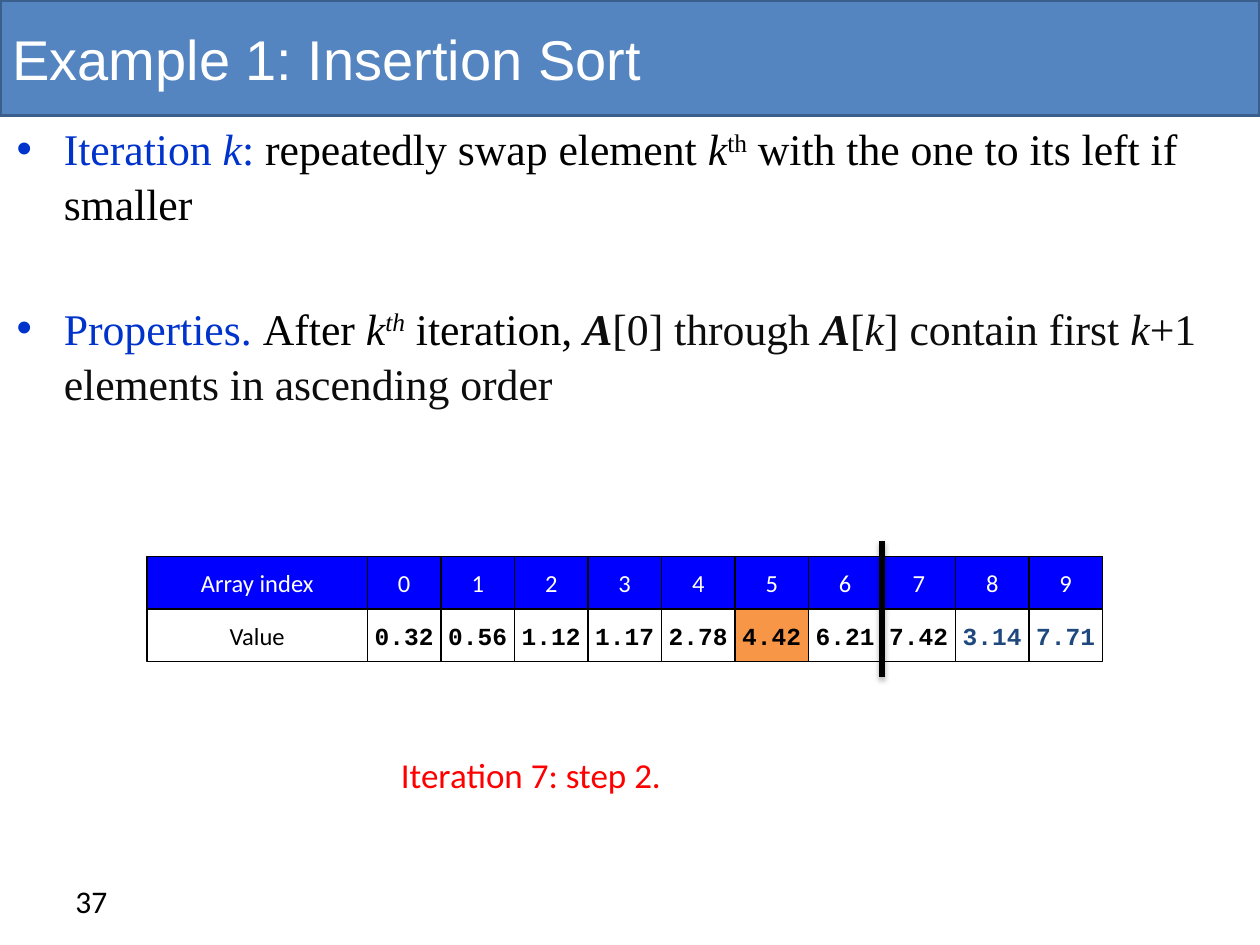
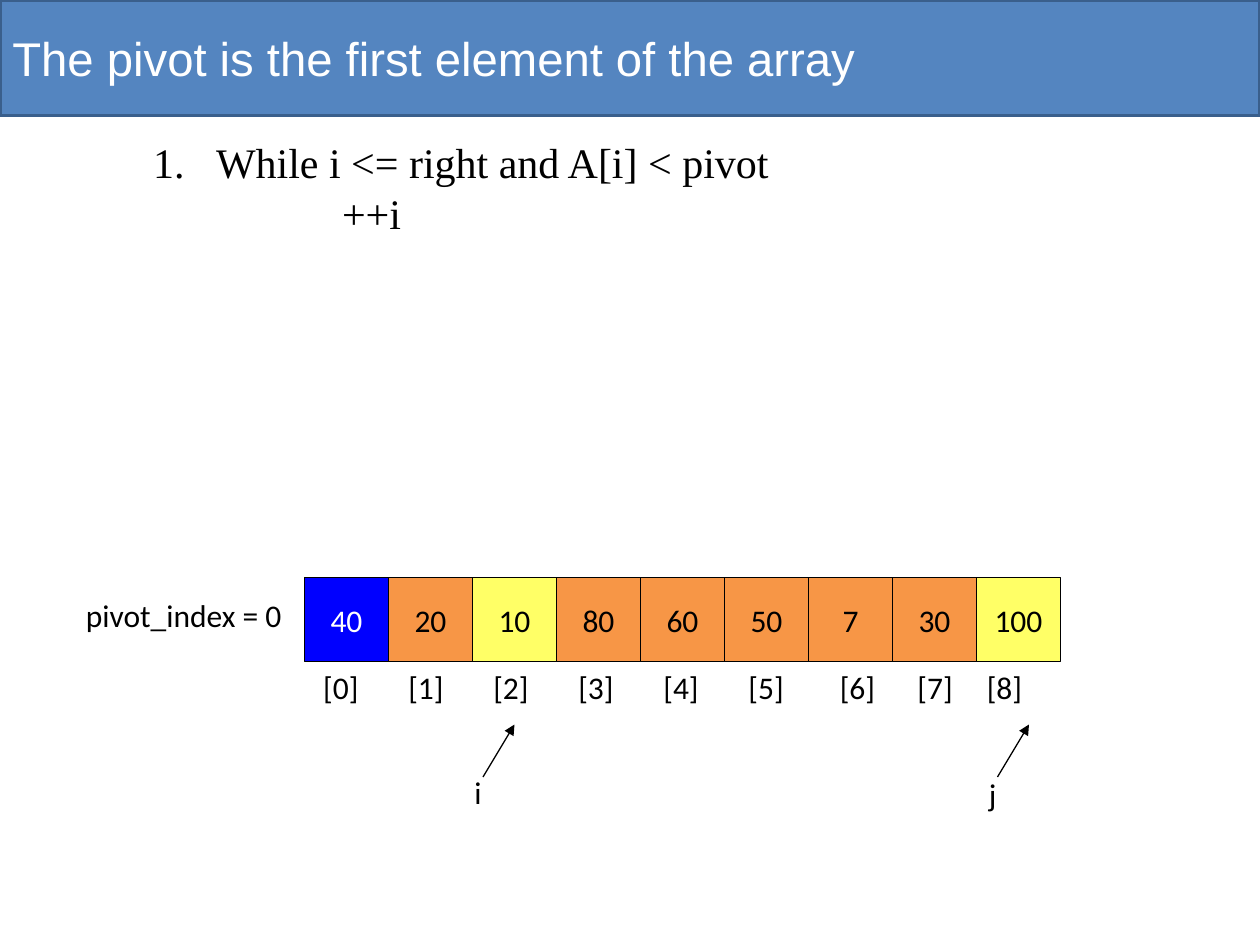
from dataclasses import dataclass

from lxml.etree import SubElement
from pptx import Presentation
from pptx.dml.color import RGBColor as Rgb
from pptx.enum.shapes import MSO_CONNECTOR as Connector, MSO_SHAPE as Preset
from pptx.enum.text import MSO_ANCHOR as Anchor, PP_ALIGN as Align
from pptx.oxml.ns import qn
from pptx.util import Pt


@dataclass(frozen=True)
class Theme:
    band: str = "5485C0"
    band_edge: str = "3A5F8C"
    white: str = "FFFFFF"
    black: str = "000000"
    soft_black: str = "0D0D0D"
    blue: str = "0000FF"
    lead: str = "0033CC"
    navy: str = "1F497D"
    orange: str = "F79646"
    yellow: str = "FFFF66"
    red: str = "FF0000"
    title_font: str = "Arial"
    body_font: str = "Times New Roman"
    label_font: str = "Calibri"
    code_font: str = "Courier New"
    cell_size: int = 14
    label_size: int = 18
    step_size: int = 20
    code_size: int = 24
    body_size: int = 25
    thin: float = 0.75


THEME = Theme()
SCALE = 7620
PAGE_WIDTH, PAGE_HEIGHT, BAND_HEIGHT = 1200, 900, 110

LEAD = {"color": THEME.lead}
SOFT = {"color": THEME.soft_black}
ITALIC = {"italic": True}
SUPER = {"baseline": 30000}
ARRAY_NAME = SOFT | ITALIC | {"bold": True}

SORT_TITLE = "Example 1: Insertion Sort"
SORT_RULES = [
    [("Iteration ", LEAD), ("k", LEAD | ITALIC), (": ", LEAD),
     ("repeatedly swap element ", {}), ("k", ITALIC), ("th", SUPER),
     (" with the one to its left if smaller", {})],
    [("Properties. ", LEAD), ("After ", {}), ("k", ITALIC), ("th", ITALIC | SUPER),
     (" iteration, ", {}), ("A", ARRAY_NAME), ("[0] through ", SOFT), ("A", ARRAY_NAME),
     ("[", SOFT), ("k", SOFT | ITALIC), ("] contain first ", SOFT),
     ("k", SOFT | ITALIC), ("+1 elements in ascending order", SOFT)],
]
SORT_VALUES = ["0.32", "0.56", "1.12", "1.17", "2.78", "4.42", "6.21", "7.42", "3.14", "7.71"]
MOVING_INDEX, LAST_VISITED, SORTED_COUNT = 5, 7, 7
SORT_STEP = "Iteration 7: step 2."
PAGE_NUMBER = "37"

PIVOT_TITLE = "The pivot is the first element of the array"
LOOP_HEAD, LOOP_BODY = "While i <= right and A[i] < pivot", "++i"
PIVOT_LABEL = "pivot_index = 0"
PIVOT_VALUES = [40, 20, 10, 80, 60, 50, 7, 30, 100]
PIVOT_FILLS = {0: THEME.blue, 2: THEME.yellow, 8: THEME.yellow}
INDEX_STOPS = [81 * step for step in range(1, 6)] + [492, 566, 632]
POINTERS = [("i", 440, 730, 300), ("j", 930, 732, 210)]


def px(*lengths):
    return [length * SCALE for length in lengths]


def rgb(color):
    return Rgb.from_string(color)


def write(shape, paragraphs, size=THEME.label_size, font=THEME.label_font, color=THEME.black,
          bold=False, align=Align.LEFT, anchor=Anchor.TOP, wrap=True, gap=0,
          line_spacing=None, bullet=None, margin=0, hang=0, stops=()):
    frame = shape.text_frame
    frame.word_wrap = wrap
    frame.vertical_anchor = anchor
    if isinstance(paragraphs, str):
        paragraphs = [[(paragraphs, {})]]
    for number, spans in enumerate(paragraphs):
        para = frame.add_paragraph() if number else frame.paragraphs[0]
        properties = para._p.get_or_add_pPr()
        if margin:
            properties.set("marL", str(margin * SCALE))
            properties.set("indent", str(-hang * SCALE))
        if bullet == "1.":
            SubElement(properties, qn("a:buAutoNum"), type="arabicPeriod")
        elif bullet:
            SubElement(properties, qn("a:buFont"), typeface=THEME.title_font)
            SubElement(properties, qn("a:buChar"), char=bullet)
        if stops:
            tabs = SubElement(properties, qn("a:tabLst"))
            for stop in stops:
                SubElement(tabs, qn("a:tab"), pos=str(stop * SCALE), algn="l")
        para.alignment = align
        if line_spacing:
            para.line_spacing = line_spacing
        if number and gap:
            para.space_before = Pt(gap)
        for text, style in spans:
            span = para.add_run()
            span.text = text
            span.font.size = Pt(size)
            span.font.name = font
            span.font.bold = style.get("bold", bold)
            span.font.italic = style.get("italic", False)
            span.font.color.rgb = rgb(style.get("color", color))
            if "baseline" in style:
                span._r.get_or_add_rPr().set("baseline", str(style["baseline"]))
    return frame


def add_text(page, place, text, **style):
    return write(page.shapes.add_textbox(*px(*place)), text, **style)


def add_box(page, place, text, fill=THEME.white, edge=THEME.black, weight=THEME.thin, **style):
    box = page.shapes.add_shape(Preset.RECTANGLE, *px(*place))
    box.shadow.inherit = False
    box.fill.solid()
    box.fill.fore_color.rgb = rgb(fill)
    box.line.color.rgb = rgb(edge)
    box.line.width = Pt(weight)
    write(box, text, anchor=Anchor.MIDDLE, **style)


def add_cell(page, place, text, **style):
    add_box(page, place, text, align=Align.CENTER, wrap=False, **style)


def add_line(page, ends, weight=THEME.thin, arrow=False, shadow=False):
    line = page.shapes.add_connector(Connector.STRAIGHT, *px(*ends))
    line.line.color.rgb = rgb(THEME.black)
    line.line.width = Pt(weight)
    outline = line._element.spPr
    if arrow:
        SubElement(outline.find(qn("a:ln")), qn("a:tailEnd"), type="triangle")
    effects = SubElement(outline, qn("a:effectLst"))
    if shadow:
        cast = SubElement(effects, qn("a:outerShdw"), blurRad="40000", dist="23000",
                          dir="5400000", rotWithShape="0")
        tint = SubElement(cast, qn("a:srgbClr"), val=THEME.black)
        SubElement(tint, qn("a:alpha"), val="35000")


def add_page(deck, title, title_size):
    page = deck.slides.add_slide(deck.slide_layouts[6])
    add_box(page, (0, 0, PAGE_WIDTH, BAND_HEIGHT), title, fill=THEME.band,
            edge=THEME.band_edge, weight=2, size=title_size, font=THEME.title_font,
            color=THEME.white)
    return page


def build_sort_page(deck):
    page = add_page(deck, SORT_TITLE, 32)
    add_text(page, (4, 108, 1210, 302), SORT_RULES, size=THEME.body_size,
             font=THEME.body_font, bullet="•", margin=45, hang=45, gap=39.5,
             line_spacing=1.05)

    left, top, head_width, width, height = 140, 530, 210, 70, 50
    first = left + head_width
    header = {"size": THEME.cell_size, "fill": THEME.blue, "color": THEME.white}
    add_cell(page, (left, top, head_width, height), "Array index", **header)
    add_cell(page, (left, top + height, head_width, height), "Value", size=THEME.cell_size)
    for index, value in enumerate(SORT_VALUES):
        x = first + index * width
        add_cell(page, (x, top, width, height), str(index), **header)
        add_cell(page, (x, top + height, width, height), value, size=THEME.cell_size,
                 font=THEME.code_font, bold=True,
                 fill=THEME.orange if index == MOVING_INDEX else THEME.white,
                 color=THEME.black if index <= LAST_VISITED else THEME.navy)
    divider = first + SORTED_COUNT * width
    add_line(page, (divider, top - 15, divider, top + 2 * height + 15), weight=3, shadow=True)

    add_text(page, (370, 712, 490, 52), SORT_STEP, size=THEME.step_size, color=THEME.red)
    add_text(page, (60, 834, 280, 48), PAGE_NUMBER)


def build_pivot_page(deck):
    page = add_page(deck, PIVOT_TITLE, 27)
    loop = {"size": THEME.code_size, "font": THEME.body_font, "line_spacing": 1.05}
    add_text(page, (134, 122, 638, 60), LOOP_HEAD, bullet="1.", margin=60, hang=60, **loop)
    add_text(page, (134, 170, 638, 60), LOOP_BODY, margin=180, **loop)

    left, top, side = 290, 550, 80
    for index, value in enumerate(PIVOT_VALUES):
        add_cell(page, (left + index * side, top, side, side), str(value),
                 fill=PIVOT_FILLS.get(index, THEME.orange),
                 color=THEME.black if index else THEME.white)
    add_text(page, (70, 562, 215, 48), PIVOT_LABEL, wrap=False)
    indexes = "\t".join(f"[{index}]" for index in range(len(PIVOT_VALUES)))
    add_text(page, (296, top + side, 704, 48), indexes, stops=INDEX_STOPS)

    for name, x, y, width in POINTERS:
        add_text(page, (x, y, width, 48), name)
        add_line(page, (x + 20, 740, x + 50, 690), arrow=True)


def main():
    deck = Presentation()
    deck.slide_width, deck.slide_height = px(PAGE_WIDTH, PAGE_HEIGHT)
    build_sort_page(deck)
    build_pivot_page(deck)
    deck.save("out.pptx")


if __name__ == "__main__":
    main()
